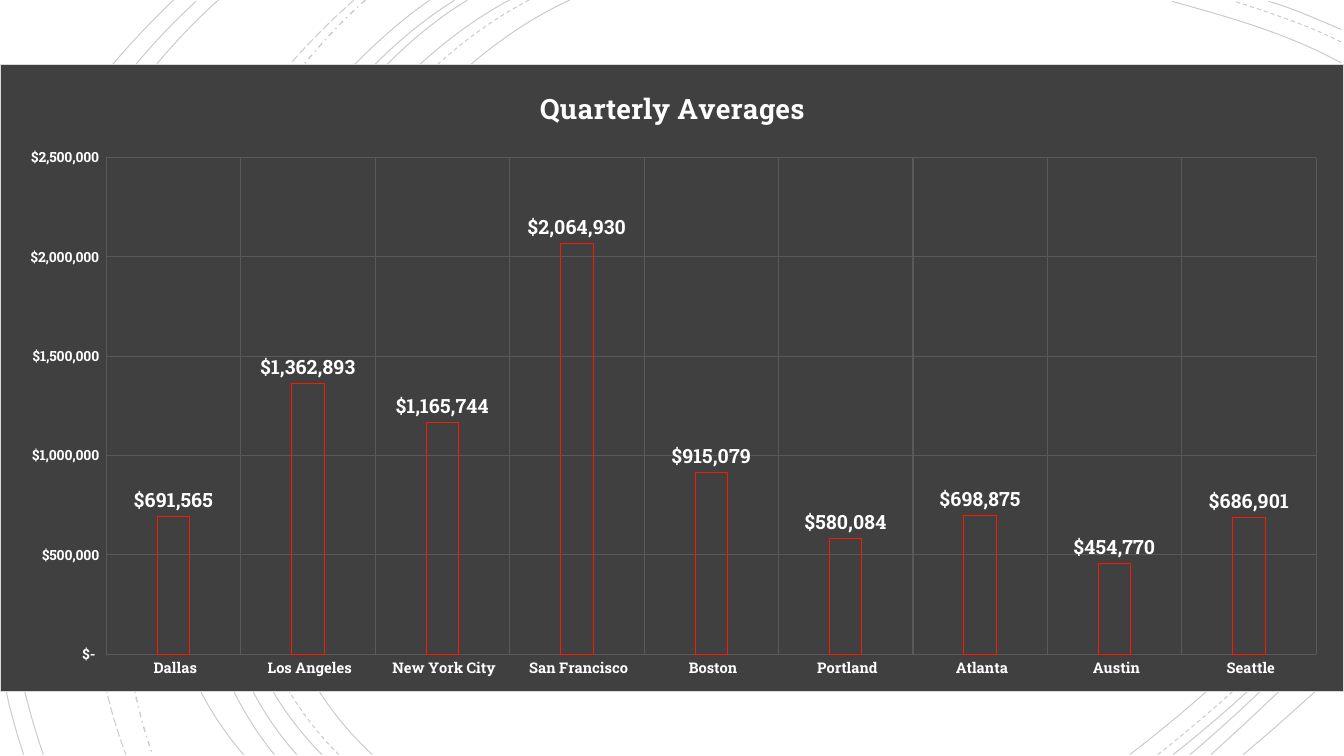
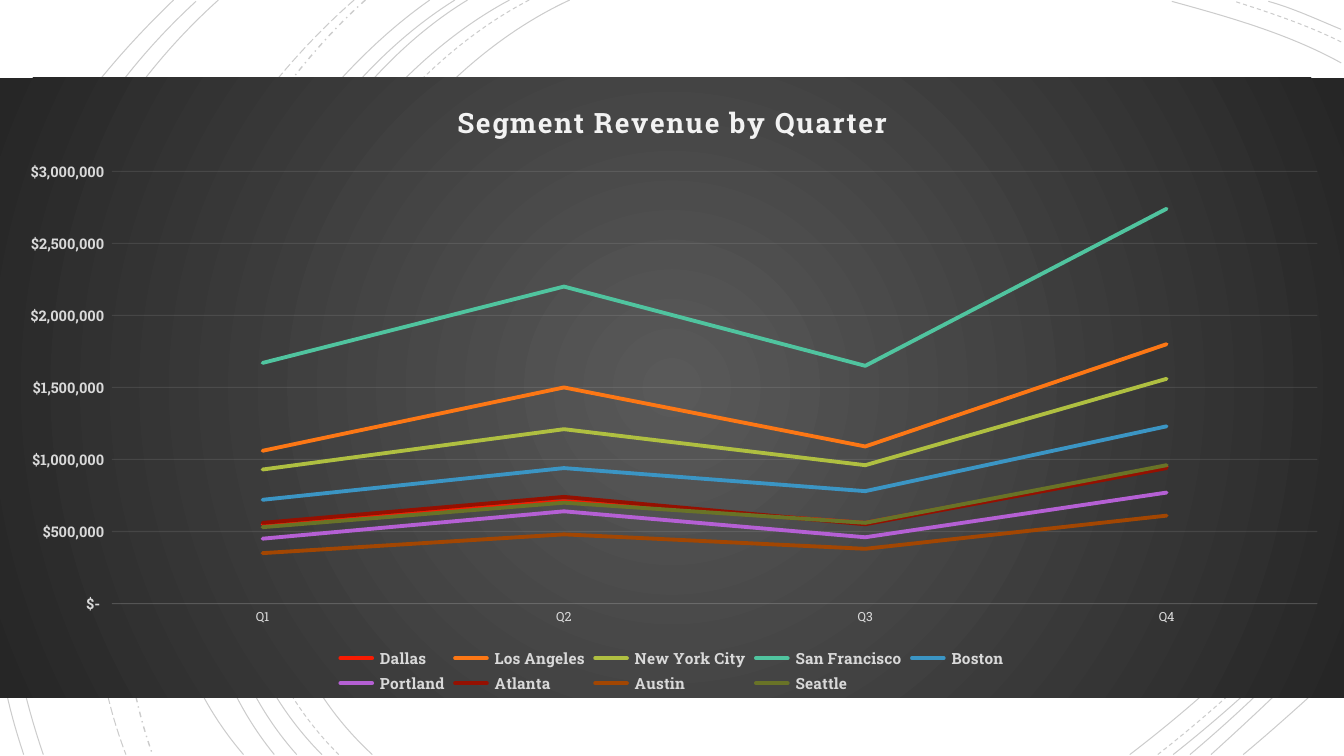
"""Build two revenue chart slides on a shared background of fine arcs."""
import pptx
import pptx.chart.data
import pptx.dml.color
import pptx.enum.chart
import pptx.enum.dml
import pptx.oxml
import pptx.oxml.ns
import pptx.util

Pt = pptx.util.Pt
qn = pptx.oxml.ns.qn
Dash = pptx.enum.dml.MSO_LINE
ChartType = pptx.enum.chart.XL_CHART_TYPE
WIDTH, HEIGHT = 960, 540
FONT = "Roboto Slab"
MONEY = '_("$"* #,##0_);_("$"* \\(#,##0\\);_("$"* "-"??_);_(@_)'
COLORS = {
    "arc": "000000", "panel": "404040", "border": "D9D9D9", "grid": "595959",
    "white": "FFFFFF", "pale": "F2F2F2", "soft": "D9D9D9", "red": "F81B02",
    "glow": "595959", "edge": "262626", "orange": "FC7715", "lime": "AFBF41",
    "teal": "50C49F", "blue": "3B95C4", "purple": "B560D4", "maroon": "951001",
    "brown": "A24602", "olive": "697327",
}
ARCS = [
    (Dash.SOLID, (407, 0), (227, 83), (103, 389), (266, 539)),
    (Dash.SOLID, (958, 45), (920, 24), (877, 12), (837, 1)),
    (Dash.SOLID, (807, 539), (862, 497), (914, 448), (958, 395)),
    (Dash.DASH, (378, 0), (205, 90), (89, 387), (242, 539)),
    (Dash.DASH, (958, 30), (934, 18), (907, 9), (882, 1)),
    (Dash.DASH, (827, 539), (873, 503), (918, 461), (958, 415)),
    (Dash.SOLID, (364, 0), (194, 91), (79, 387), (230, 539)),
    (Dash.SOLID, (958, 21), (941, 14), (924, 6), (906, 1)),
    (Dash.SOLID, (838, 539), (881, 505), (922, 467), (958, 426)),
    (Dash.SOLID, (334, 0), (176, 96), (79, 390), (212, 539)),
    (Dash.SOLID, (850, 539), (888, 507), (924, 472), (958, 434)),
    (Dash.SOLID, (325, 0), (166, 99), (70, 384), (196, 539)),
    (Dash.SOLID, (865, 539), (897, 510), (929, 480), (958, 449)),
    (Dash.SOLID, (307, 0), (156, 106), (38, 381), (174, 539)),
    (Dash.SOLID, (888, 539), (912, 519), (935, 498), (958, 477)),
    (Dash.DASH_DOT, (261, 0), (127, 120), (47, 366), (109, 539)),
    (Dash.LONG_DASH, (253, 0), (113, 122), (21, 359), (90, 539)),
    (Dash.SOLID, (156, 0), (8, 133), (-33, 353), (31, 539)),
    (Dash.SOLID, (140, 1), (66, 69), (20, 154), (1, 253)),
    (Dash.SOLID, (1, 474), (4, 496), (10, 518), (17, 539)),
    (Dash.SOLID, (124, 0), (72, 50), (27, 108), (1, 176)),
]
AVERAGES = {
    " Dallas": 691565, " Los Angeles": 1362893, " New York City": 1165744,
    " San Francisco": 2064930, " Boston": 915079, " Portland": 580084,
    " Atlanta": 698875, " Austin": 454770, " Seattle": 686901,
}
QUARTERS = ["Q1", "Q2", "Q3", "Q4"]
SEGMENTS = [
    (" Dallas", "red", (550000, 710000, 560000, 950000)),
    (" Los Angeles", "orange", (1060000, 1500000, 1090000, 1800000)),
    (" New York City", "lime", (930000, 1210000, 960000, 1560000)),
    (" San Francisco", "teal", (1670000, 2200000, 1650000, 2740000)),
    (" Boston", "blue", (720000, 940000, 780000, 1230000)),
    (" Portland", "purple", (450000, 640000, 460000, 770000)),
    (" Atlanta", "maroon", (560000, 740000, 550000, 940000)),
    (" Austin", "brown", (350000, 480000, 380000, 610000)),
    (" Seattle", "olive", (530000, 700000, 560000, 960000)),
]
AVERAGES_STYLE = {
    "type": ChartType.COLUMN_CLUSTERED, "top": 45.4, "height": 448.6,
    "title": "Quarterly Averages", "title_color": "white", "title_at": (382, 12.8),
    "spacing": 0, "plot": (75.6, 66.9, 865, 355.4), "maximum": 2500000,
    "text": "white", "category_font": {"size": Pt(10.5), "bold": True},
    "value_font": {"size": Pt(10), "bold": True}, "grid": "grid",
}
SEGMENTS_STYLE = {
    "type": ChartType.LINE, "top": 55.4, "height": 443,
    "title": "Segment Revenue by Quarter", "title_color": "pale", "title_at": (323, 12.8),
    "spacing": 100, "plot": (80, 67, 861, 308.8), "maximum": 3000000,
    "text": "soft", "category_font": {"size": Pt(9), "bold": False},
    "value_font": {"size": Pt(10.5), "bold": True}, "grid": "pale",
}


def rgb(name):
    return pptx.dml.color.RGBColor.from_string(COLORS[name])


def set_font(font, color, **values):
    for key, value in {"name": FONT, **values}.items():
        setattr(font, key, value)
    font.color.rgb = rgb(color)


def set_line(line, color, width=0.75):
    line.color.rgb = rgb(color)
    line.width = Pt(width)


def fade(element, percent):
    for color in element.iter(qn("a:srgbClr")):
        color.append(color.makeelement(qn("a:alpha"), {"val": str(percent * 1000)}))


def draw_arc(slide, dash, *points):
    start, *rest = [(Pt(x), Pt(y)) for x, y in points]
    builder = slide.shapes.build_freeform(*start)
    builder.add_line_segments(rest, close=False)
    arc = builder.convert_to_shape()
    segments = list(arc.element.iter(qn("a:lnTo")))
    outline = segments[0].getparent()
    curve = outline.makeelement(qn("a:cubicBezTo"), {})
    for segment in segments:
        curve.append(segment[0])
        outline.remove(segment)
    outline.append(curve)
    arc.shadow.inherit = False
    arc.fill.background()
    set_line(arc.line, "arc", 1 if dash == Dash.DASH_DOT else 0.75)
    arc.line.dash_style = dash
    fade(arc.element.spPr, 20)
    return arc


def add_background(slide):
    tree = slide.slide_layout.element.cSld.spTree
    for arc in ARCS:
        tree.append(draw_arc(slide, *arc).element)


def make_layout(values, height, target=""):
    modes = '<c:xMode val="edge"/><c:yMode val="edge"/>'
    places = "".join(f'<c:{key} val="{value / size:.4f}"/>'
                     for key, value, size in zip("xywh", values, (WIDTH, height) * 2))
    return pptx.oxml.parse_xml(
        f'<c:layout {pptx.oxml.ns.nsdecls("c")}><c:manualLayout>{target}{modes}{places}'
        '</c:manualLayout></c:layout>')


def place_parts(chart, style):
    title = chart.element.xpath("./c:chart/c:title")[0]
    plot_area = chart.element.xpath("./c:chart/c:plotArea")[0]
    for parent in (title, plot_area):
        for old in parent.findall(qn("c:layout")):
            parent.remove(old)
    title.find(qn("c:tx")).addnext(make_layout(style["title_at"], style["height"]))
    plot_area.insert(0, make_layout(style["plot"], style["height"],
                                    '<c:layoutTarget val="inner"/>'))
    for properties in title.iter(qn("a:rPr")):
        properties.set("spc", str(style["spacing"]))


def fill_chart(chart, fill, line):
    panel = pptx.oxml.parse_xml(
        f'<c:spPr {pptx.oxml.ns.nsdecls("c", "a")}>{fill}<a:ln w="9525">{line}</a:ln></c:spPr>')
    chart.element.find(qn("c:chart")).addnext(panel)


def solid(name):
    return f'<a:solidFill><a:srgbClr val="{COLORS[name]}"/></a:solidFill>'


def add_chart(slide, data, style):
    frame = slide.shapes.add_chart(style["type"], 0, Pt(style["top"]), Pt(WIDTH),
                                   Pt(style["height"]), data)
    chart = frame.chart
    set_font(chart.font, "arc", size=Pt(10))
    chart.has_legend = False
    chart.has_title = True
    title = chart.chart_title.text_frame
    title.text = style["title"]
    set_font(title.paragraphs[0].runs[0].font, style["title_color"], size=Pt(20), bold=True)
    place_parts(chart, style)
    for axis, font in ((chart.category_axis, style["category_font"]),
                       (chart.value_axis, style["value_font"])):
        axis.major_tick_mark = axis.minor_tick_mark = pptx.enum.chart.XL_TICK_MARK.NONE
        axis.format.line.fill.background()
        set_font(axis.tick_labels.font, style["text"], **font)
    values = chart.value_axis
    values.minimum_scale, values.maximum_scale, values.major_unit = 0, style["maximum"], 500000
    values.tick_labels.number_format = MONEY
    values.tick_labels.number_format_is_linked = False
    set_line(values.major_gridlines.format.line, style["grid"])
    chart.plots[0].vary_by_categories = False
    return chart


def add_averages(slide):
    data = pptx.chart.data.CategoryChartData()
    data.categories = list(AVERAGES)
    data.add_series("Series 1", list(AVERAGES.values()))
    chart = add_chart(slide, data, AVERAGES_STYLE)
    fill_chart(chart, solid("panel"), solid("border"))
    chart.category_axis.has_major_gridlines = True
    set_line(chart.category_axis.major_gridlines.format.line, "grid")
    plot = chart.plots[0]
    plot.gap_width, plot.overlap = 315, -40
    bars = plot.series[0].format
    bars.fill.background()
    set_line(bars.line, "red")
    plot.has_data_labels = True
    labels = plot.data_labels
    for key, value in {"show_value": True, "number_format": MONEY,
                       "number_format_is_linked": False,
                       "position": pptx.enum.chart.XL_LABEL_POSITION.OUTSIDE_END}.items():
        setattr(labels, key, value)
    set_font(labels.font, "white", size=Pt(14), bold=True)


def add_segments(slide):
    data = pptx.chart.data.CategoryChartData()
    data.categories = QUARTERS
    for name, _, values in SEGMENTS:
        data.add_series(name, values)
    chart = add_chart(slide, data, SEGMENTS_STYLE)
    stops = "".join(f'<a:gs pos="{position}"><a:srgbClr val="{COLORS[name]}"/></a:gs>'
                    for position, name in ((0, "glow"), (100000, "edge")))
    fill_chart(chart, f'<a:gradFill><a:gsLst>{stops}</a:gsLst><a:path path="circle">'
               '<a:fillToRect l="50000" t="50000" r="50000" b="50000"/></a:path></a:gradFill>',
               "<a:noFill/>")
    set_line(chart.category_axis.format.line, "pale")
    for element in chart.element.xpath(".//c:majorGridlines | .//c:catAx/c:spPr"):
        fade(element, 10)
    for series, (_, color, _) in zip(chart.plots[0].series, SEGMENTS):
        series.smooth = False
        series.marker.style = pptx.enum.chart.XL_MARKER_STYLE.NONE
        set_line(series.format.line, color, 2.75)
    for line in chart.element.xpath(".//c:ser/c:spPr/a:ln"):
        line.set("cap", "rnd")
    chart.has_legend = True
    chart.legend.position = pptx.enum.chart.XL_LEGEND_POSITION.BOTTOM
    chart.legend.include_in_layout = False
    set_font(chart.legend.font, "soft", size=Pt(11), bold=True)


def main():
    presentation = pptx.Presentation()
    presentation.slide_width, presentation.slide_height = Pt(WIDTH), Pt(HEIGHT)
    blank = presentation.slide_layouts[6]
    averages, segments = (presentation.slides.add_slide(blank) for _ in range(2))
    add_background(averages)
    add_averages(averages)
    add_segments(segments)
    presentation.save("out.pptx")


if __name__ == "__main__":
    main()
